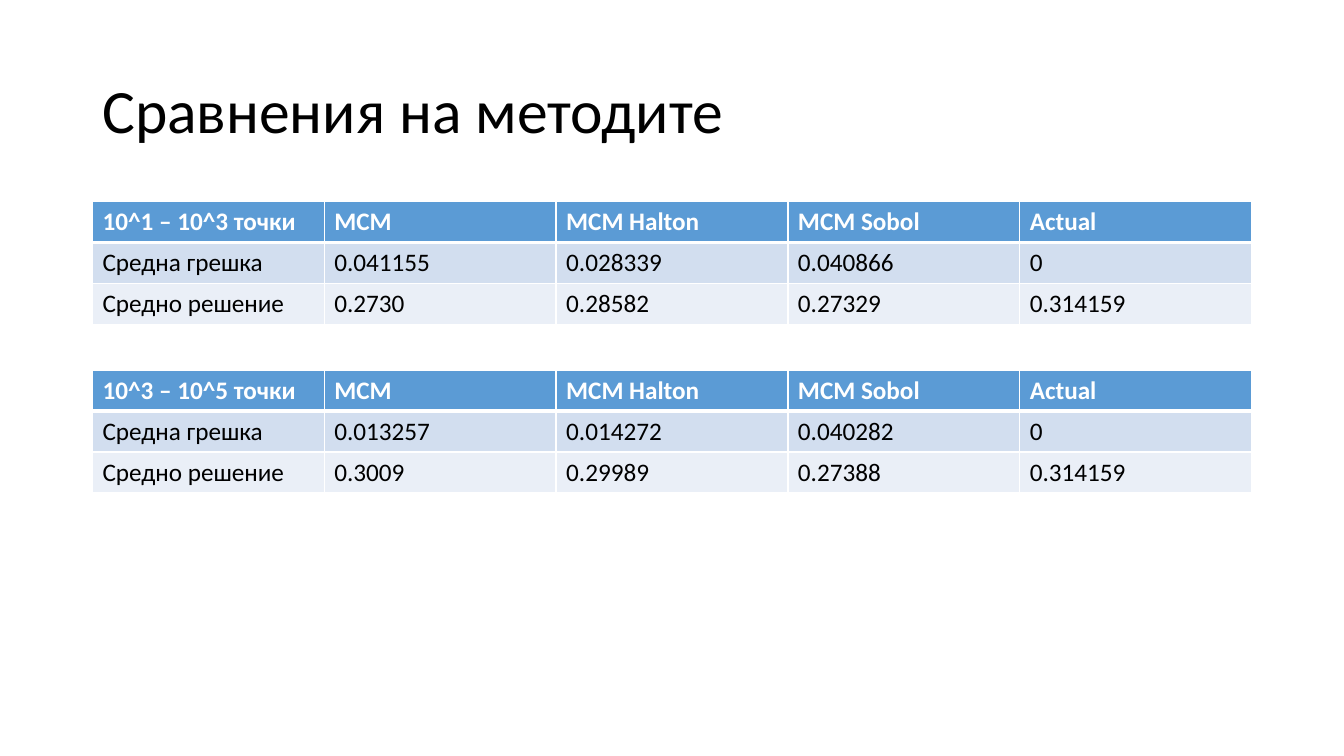
import pptx
import pptx.dml.color
import pptx.enum.text
import pptx.util
from lxml import etree
from pptx.oxml.ns import qn

Cm = pptx.util.Cm
Pt = pptx.util.Pt


def color(value):
    return pptx.dml.color.RGBColor.from_string(value)


def write(frame, text, font="Calibri", size=18, ink="000000", bold=False, spacing=1.0):
    paragraph = frame.paragraphs[0]
    paragraph.line_spacing = spacing
    run = paragraph.add_run()
    run.text = text
    run.font.name = font
    run.font.size = Pt(size)
    run.font.bold = bold
    run.font.color.rgb = color(ink)


class MethodSlide:
    left = Cm(2.33)
    width = Cm(29.21)
    row_height = Cm(1.03)
    header_fill = "5B9BD5"
    body_fills = ("D2DEEF", "EAEFF7")
    white = "FFFFFF"

    def __init__(self, presentation):
        self.slide = presentation.slides.add_slide(presentation.slide_layouts[6])
        self.slide.background.fill.solid()
        self.slide.background.fill.fore_color.rgb = color(self.white)

    def title(self, text):
        shape = self.slide.shapes.add_textbox(self.left, Cm(1.01), self.width, Cm(3.68))
        frame = shape.text_frame
        frame.word_wrap = True
        frame.vertical_anchor = pptx.enum.text.MSO_ANCHOR.MIDDLE
        write(frame, text, size=44, spacing=0.9)

    def borders(self, cell, **widths):
        properties = cell._tc.get_or_add_tcPr()
        for side in "LRTB":
            width = str(Pt(widths.get(side, 1)))
            line = etree.SubElement(properties, qn(f"a:ln{side}"), w=width)
            fill = etree.SubElement(line, qn("a:solidFill"))
            etree.SubElement(fill, qn("a:srgbClr"), val=self.white)

    def table(self, top, rows):
        columns = len(rows[0])
        frame = self.slide.shapes.add_table(
            len(rows), columns, self.left, top, self.width, self.row_height * len(rows)
        )
        table = frame.table
        for column in table.columns:
            column.width = self.width // columns
        for row_index, values in enumerate(rows):
            table.rows[row_index].height = self.row_height
            header = row_index == 0
            background = self.header_fill if header else self.body_fills[(row_index - 1) % 2]
            widths = {0: {"B": 3}, 1: {"T": 3}}.get(row_index, {})
            for column_index, value in enumerate(values):
                cell = table.cell(row_index, column_index)
                self.borders(cell, **widths)
                cell.fill.solid()
                cell.fill.fore_color.rgb = color(background)
                ink = self.white if header else "000000"
                write(cell.text_frame, value, ink=ink, bold=header)


def main():
    presentation = pptx.Presentation()
    presentation.slide_width = Cm(33.87)
    presentation.slide_height = Cm(19.05)
    slide = MethodSlide(presentation)
    slide.title("Сравнения на методите")
    methods = ["MCM", "MCM Halton", "MCM Sobol", "Actual"]
    comparisons = [
        (
            Cm(5.08),
            "10^1 – 10^3 точки",
            ["0.041155", "0.028339", "0.040866", "0"],
            ["0.2730", "0.28582", "0.27329", "0.314159"],
        ),
        (
            Cm(9.33),
            "10^3 – 10^5 точки",
            ["0.013257", "0.014272", "0.040282", "0"],
            ["0.3009", "0.29989", "0.27388", "0.314159"],
        ),
    ]
    for top, points, errors, solutions in comparisons:
        slide.table(top, [
            [points, *methods],
            ["Средна грешка", *errors],
            ["Средно решение", *solutions],
        ])
    presentation.save("out.pptx")


if __name__ == "__main__":
    main()
